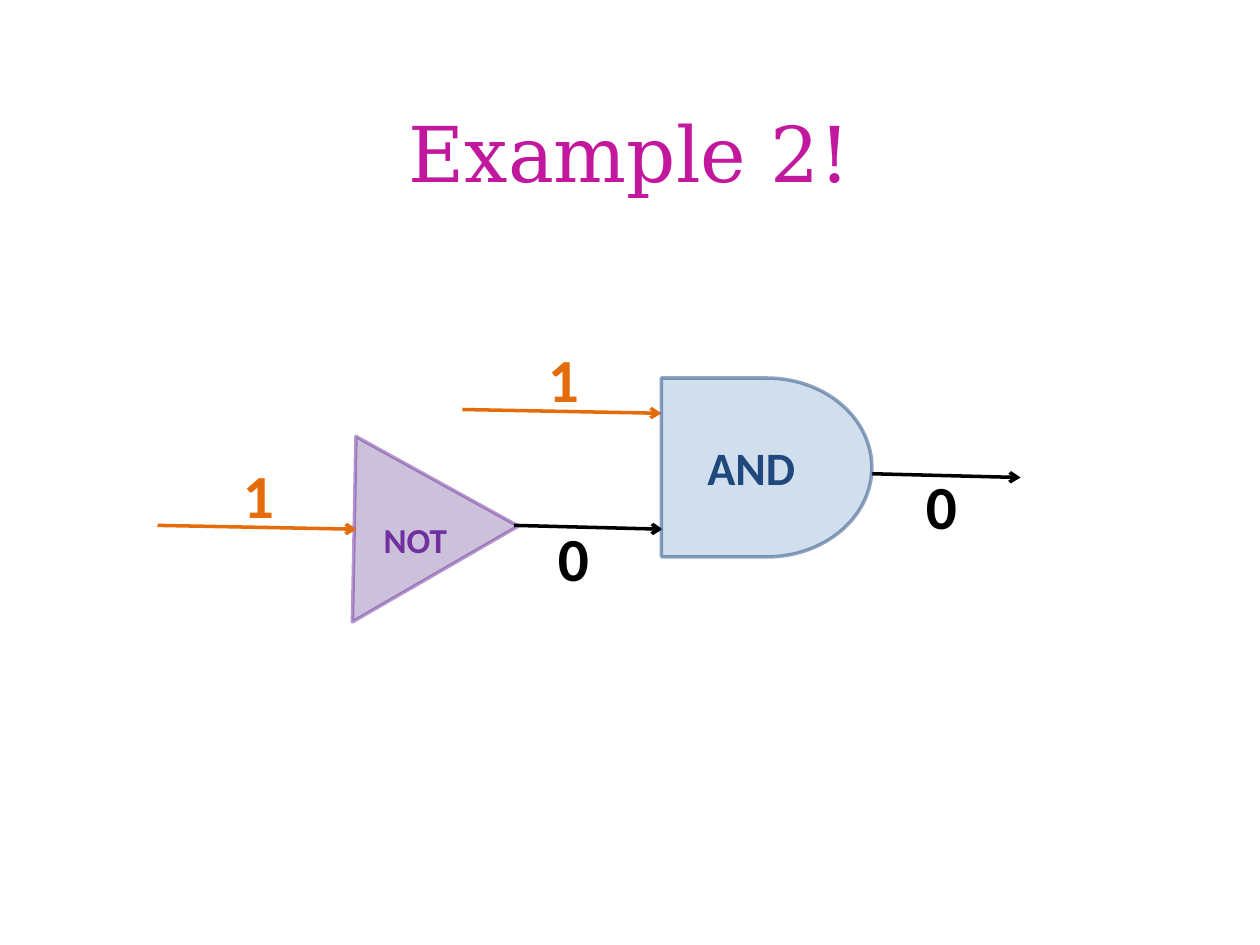
import pptx
import pptx.util
import pptx.dml.color
import pptx.enum.shapes
import pptx.enum.text
import pptx.oxml.ns
import lxml.etree

Inches, Pt = pptx.util.Inches, pptx.util.Pt
RGB = pptx.dml.color.RGBColor
SHAPE = pptx.enum.shapes.MSO_SHAPE
ALIGN, ANCHOR = pptx.enum.text.PP_ALIGN, pptx.enum.text.MSO_ANCHOR
qn = pptx.oxml.ns.qn

MAGENTA = RGB(0xC2, 0x18, 0x9E)
ORANGE, BLACK = RGB(0xE4, 0x6C, 0x0A), RGB(0, 0, 0)
PURPLE, LILAC = RGB(0x70, 0x30, 0xA0), RGB(0xB3, 0xA2, 0xC7)
NAVY, SKY = RGB(0x1F, 0x49, 0x7D), RGB(0xB9, 0xCD, 0xE5)

# Content, in inches
TITLE = "Example 2!"
GATES = [  # text, preset, box, rotation, fill, ink, text size
    ("NOT", SHAPE.ISOSCELES_TRIANGLE, (2.38, 3.38, 1.52, 1.26), 330, LILAC, PURPLE, 20),
    ("AND", SHAPE.FLOWCHART_DELAY, (5.25, 3, 1.67, 1.42), 0, SKY, NAVY, 26.5),
]
SIGNALS = [  # value, wire start, kind, label left
    ("1", (1.25, 4.17), "input", 1.83),
    ("0", (4.08, 4.17), "output", 4.33),
    ("1", (3.67, 3.25), "input", 4.25),
    ("0", (6.92, 3.76), "output", 7.25),
]
KINDS = {  # colour, wire run, label rise, label width
    "input": (ORANGE, 1.58, -0.59, 0.67),
    "output": (BLACK, 1.18, -0.09, 0.5),
}
WIRE_DROP, LABEL_HEIGHT = 0.03, 0.69


def put_text(sp, text, size, color, font="Calibri", bold=True, align=ALIGN.LEFT, anchor=ANCHOR.TOP):
    tf = sp.text_frame
    tf.word_wrap = True
    tf.vertical_anchor = anchor
    p = tf.paragraphs[0]
    p.alignment = align
    r = p.add_run()
    r.text = text
    r.font.name, r.font.size, r.font.bold = font, Pt(size), bold
    r.font.color.rgb = color


def set_alpha(sp, color, percent):
    """Make the given colour of a shape's fill or line translucent."""
    for clr in sp._element.spPr.iter(qn("a:srgbClr")):
        if clr.get("val") == str(color):
            lxml.etree.SubElement(clr, qn("a:alpha")).set("val", str(percent * 1000))


def add_gate(shapes, text, preset, box, rotation, fill, ink, size):
    sp = shapes.add_shape(preset, *map(Inches, box))
    sp.shadow.inherit = False
    sp.fill.solid()
    sp.fill.fore_color.rgb = fill
    sp.line.color.rgb = ink
    sp.line.width = Pt(2)
    set_alpha(sp, fill, 66)
    set_alpha(sp, ink, 50)
    put_text(sp, text, size, ink, align=ALIGN.CENTER, anchor=ANCHOR.MIDDLE)
    if rotation:  # turn the text back upright
        sp.rotation = rotation
        tf = sp.text_frame
        tf.margin_left = tf.margin_right = 0
        tf._txBody.bodyPr.set("rot", str((360 - rotation) * 60000))


def add_signal(shapes, value, start, kind, label_left):
    color, run, rise, width = KINDS[kind]
    x, y = start
    group = shapes.add_group_shape().shapes
    wire = group.add_connector(
        pptx.enum.shapes.MSO_CONNECTOR.STRAIGHT,
        *map(Inches, (x, y, x + run, y + WIRE_DROP)))
    wire.line.color.rgb = color
    wire.line.width = Pt(2)
    lxml.etree.SubElement(wire.line._get_or_add_ln(), qn("a:tailEnd")).set("type", "arrow")
    lxml.etree.SubElement(wire._element.spPr, qn("a:effectLst"))
    label = group.add_textbox(*map(Inches, (label_left, y + rise, width, LABEL_HEIGHT)))
    put_text(label, value, 35, color)


prs = pptx.Presentation()
prs.slide_width, prs.slide_height = Inches(10), Inches(7.5)
s = prs.slides.add_slide(prs.slide_layouts[6])

# Title
title = s.shapes.add_textbox(*map(Inches, (0.5, 0.58, 9, 1.25)))
put_text(title, TITLE, 44, MAGENTA, font="DejaVu Serif", bold=False,
         align=ALIGN.CENTER, anchor=ANCHOR.MIDDLE)

# Circuit: NOT gate, signals, then AND gate on top
not_gate, and_gate = GATES
add_gate(s.shapes, *not_gate)
for signal in SIGNALS:
    add_signal(s.shapes, *signal)
add_gate(s.shapes, *and_gate)

prs.save("out.pptx")
